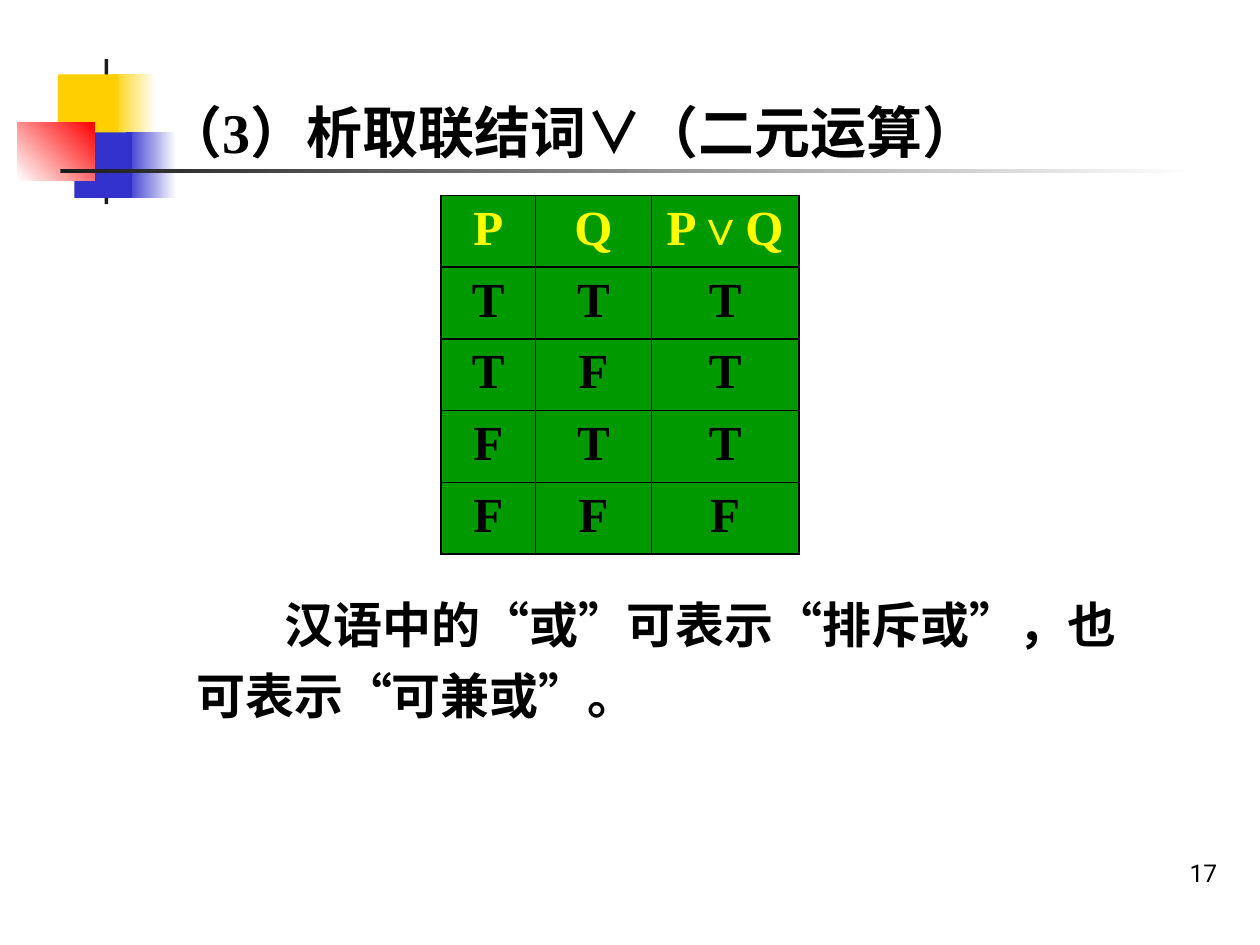
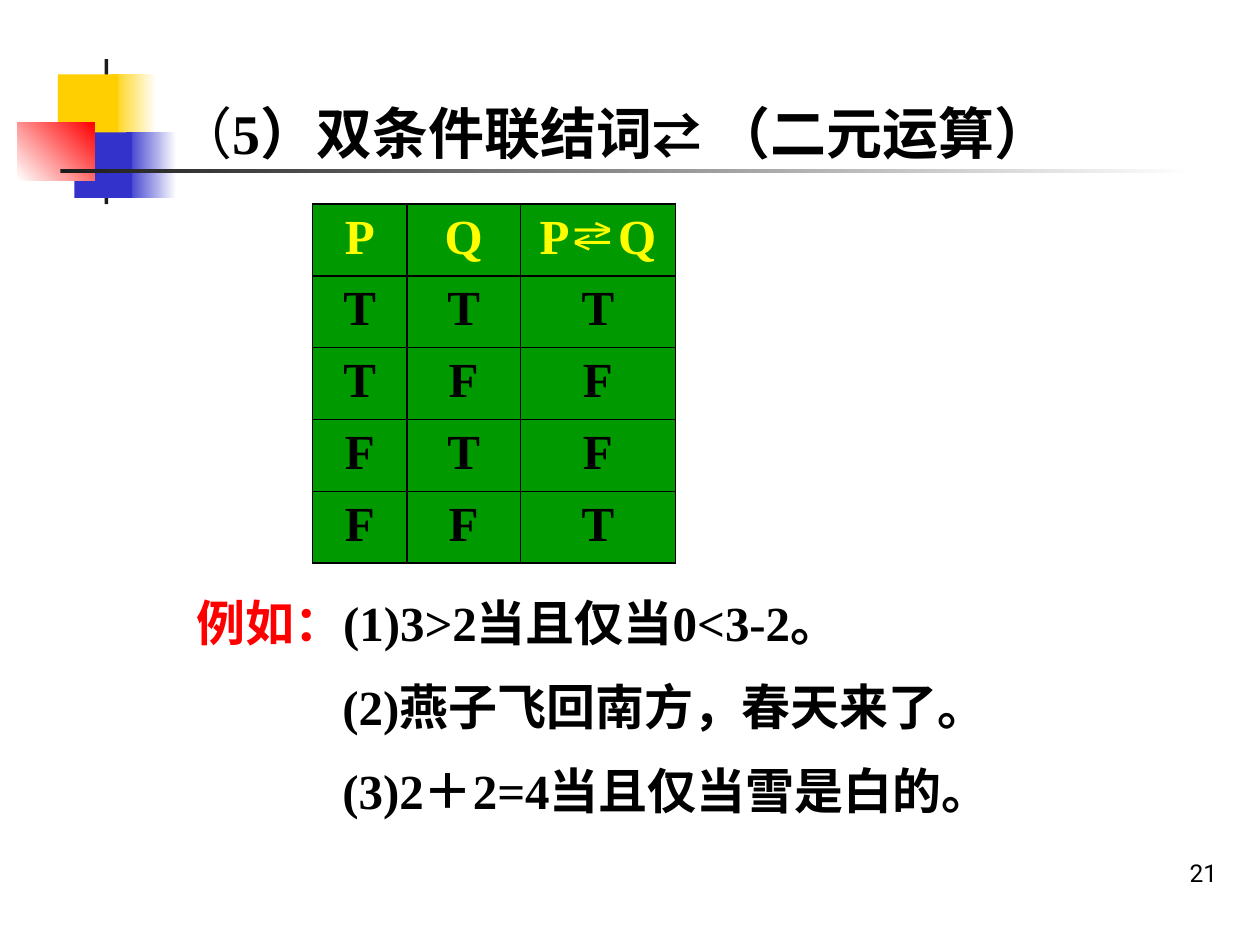
"""Build two slides on logical connectives, each with a truth table."""
from lxml import etree
from pptx import Presentation
from pptx.dml.color import RGBColor
from pptx.enum.shapes import MSO_SHAPE
from pptx.enum.text import MSO_ANCHOR, MSO_AUTO_SIZE, PP_ALIGN
from pptx.oxml.ns import qn
from pptx.util import Inches, Pt

RECTANGLE = MSO_SHAPE.RECTANGLE
TOP, BOTTOM = MSO_ANCHOR.TOP, MSO_ANCHOR.BOTTOM
LEFT, CENTER, RIGHT = PP_ALIGN.LEFT, PP_ALIGN.CENTER, PP_ALIGN.RIGHT
FIXED_SIZE = MSO_AUTO_SIZE.NONE

BLACK = RGBColor(0x00, 0x00, 0x00)
WHITE = RGBColor(0xFF, 0xFF, 0xFF)
INK = RGBColor(0x1C, 0x1C, 0x1C)
GOLD = RGBColor(0xFF, 0xCF, 0x01)
BLUE = RGBColor(0x33, 0x33, 0xCC)
RED = RGBColor(0xFF, 0x00, 0x00)
YELLOW = RGBColor(0xFF, 0xFF, 0x00)
GREEN = RGBColor(0x00, 0x99, 0x00)

SERIF, HAN, MONO = "Times New Roman", "Noto Sans CJK SC", "Noto Sans Mono"
TITLE = {"name": SERIF, "size": Pt(32), "bold": True, "color": BLACK}
BODY = {**TITLE, "size": Pt(28)}
HEADING = {**BODY, "color": YELLOW}
NUMBER = {"name": "Roboto", "size": Pt(14), "bold": False, "color": BLACK}
NUMBER_BOX = (7.68, 6.59, 2.08, 0.5)
ROW_HEIGHT = 0.57

# Each band: left, top, width, height, start colour, end colour, angle
BANDS = [
    (0.88, 0.59, 0.36, 0.52, GOLD, WHITE, 0),
    (1.0, 1.05, 0.4, 0.52, BLUE, WHITE, 0),
    (0.83, 0.47, 0.03, 1.15, INK, None, 0),
    (0.46, 0.59, 0.48, 0.52, GOLD, None, 0),
    (0.59, 1.05, 0.46, 0.52, BLUE, None, 0),
    (0.14, 0.97, 0.61, 0.46, WHITE, RED, 45),
    (0.48, 1.34, 9.0, 0.03, INK, WHITE, 0),
]

SLIDES = [
    {
        "number": "17",
        "title": [("（3）析取联结词∨（二元运算）", TITLE)],
        "title_box": (1.22, 0.73, 7.32, 0.58),
        "title_format": {"line_spacing": Pt(38)},
        "table_at": (3.5, 1.55),
        "columns": (0.75, 0.92, 1.17),
        "rows": [("P", "Q", "P∨Q"), "TTT", "TFT", "FTT", "FFF"],
        "body_box": (1.46, 4.57, 7.8, 1.22),
        "body_format": {"line_spacing": Pt(40.6)},
        "body": [
            (0, 0.7, [("汉语中的“或”可表示“排斥或”，也可表示“可兼或”。",
                       {**BODY, "name": HAN})]),
        ],
    },
    {
        "number": "21",
        "title": [("（", {**TITLE, "bold": False}), ("5）双条件联结词", TITLE),
                  ("⇄", {**BODY, "name": MONO}), (" （二元运算）", TITLE)],
        "title_box": (1.3, 0.68, 7.6, 0.63),
        "title_format": {"line_spacing": Pt(42)},
        "table_at": (2.48, 1.62),
        "columns": (0.75, 0.9, 1.23),
        "rows": [("P", "Q", "P⇄Q"), "TTT", "TFF", "FTF", "FFT"],
        "body_box": (1.46, 4.65, 7.64, 1.97),
        "body_format": {"line_spacing": Pt(34), "space_before": Pt(14)},
        "body": [
            (0, 0, [("例如：", {**BODY, "color": RED}), ("(1)3>2当且仅当0<3-2。", BODY)]),
            (1.16, 0, [("(2)燕子飞回南方，春天来了。", BODY)]),
            (1.16, 0, [("(3)2＋2=4当且仅当雪是白的。", BODY)]),
        ],
    },
]


def inches(values):
    return [Inches(value) for value in values]


def add_spans(para, spans, han_font=True, **para_format):
    for name, value in para_format.items():
        setattr(para, name, value)
    for text, span_format in spans:
        span = para.add_run()
        span.text = text
        for name, value in span_format.items():
            if name == "color":
                span.font.color.rgb = value
            else:
                setattr(span.font, name, value)
        if han_font:
            face = MONO if span_format["name"] == MONO else HAN
            etree.SubElement(span.font._element, qn("a:ea"), typeface=face)


def set_frame(frame, anchor):
    for name, value in {"word_wrap": True, "auto_size": FIXED_SIZE,
                        "vertical_anchor": anchor}.items():
        setattr(frame, name, value)
    return frame


def add_text_box(page, box, anchor=TOP):
    return set_frame(page.shapes.add_textbox(*inches(box)).text_frame, anchor)


def move_bands_to_layout(page, layout):
    for index, (*box, start, end, angle) in enumerate(BANDS):
        band = page.shapes.add_shape(RECTANGLE, *inches(box))
        band.shadow.inherit = False
        band.line.fill.background()
        if end is None:
            band.fill.solid()
            band.fill.fore_color.rgb = start
        else:
            band.fill.gradient()
            band.fill.gradient_angle = angle
            for stop, color, position in zip(band.fill.gradient_stops, (start, end), (0, 1)):
                stop.color.rgb = color
                stop.position = position
        band.element.nvSpPr.cNvPr.set("id", str(20 + index))
        layout.shapes.element.append(band.element)


def add_title(page, content):
    title = page.shapes.title
    title.left, title.top, title.width, title.height = inches(content["title_box"])
    frame = set_frame(title.text_frame, TOP)
    add_spans(frame.paragraphs[0], content["title"], alignment=LEFT,
              **content["title_format"])


def add_borders(cell):
    properties = cell._tc.get_or_add_tcPr()
    for side in ("lnL", "lnR", "lnT", "lnB"):
        line = etree.SubElement(properties, qn(f"a:{side}"), w=str(Pt(1)))
        fill = etree.SubElement(line, qn("a:solidFill"))
        etree.SubElement(fill, qn("a:srgbClr"), val=str(BLACK))


def add_truth_table(page, content):
    rows, columns = content["rows"], content["columns"]
    size = (sum(columns), ROW_HEIGHT * len(rows))
    table = page.shapes.add_table(len(rows), len(columns),
                                  *inches(content["table_at"] + size)).table
    for column, width in zip(table.columns, columns):
        column.width = Inches(width)
    for row_index, values in enumerate(rows):
        table.rows[row_index].height = Inches(ROW_HEIGHT)
        for column_index, value in enumerate(values):
            cell = table.cell(row_index, column_index)
            add_borders(cell)
            cell.fill.solid()
            cell.fill.fore_color.rgb = GREEN
            span_format = BODY if row_index else HEADING
            add_spans(cell.text_frame.paragraphs[0], [(value, span_format)],
                      han_font=False, alignment=CENTER)


def add_body(page, content):
    frame = add_text_box(page, content["body_box"])
    for index, (margin, indent, spans) in enumerate(content["body"]):
        para = frame.add_paragraph() if index else frame.paragraphs[0]
        properties = para._p.get_or_add_pPr()
        properties.set("marL", str(Inches(margin)))
        properties.set("indent", str(Inches(indent)))
        add_spans(para, spans, **content["body_format"])
        if index == 0:
            para.space_before = Pt(0)


def main():
    deck = Presentation()
    deck.slide_width, deck.slide_height = inches((10, 7.5))
    layout = deck.slide_layouts[5]
    for index, content in enumerate(SLIDES):
        page = deck.slides.add_slide(layout)
        if index == 0:
            move_bands_to_layout(page, layout)
        number_frame = add_text_box(page, NUMBER_BOX, BOTTOM)
        add_spans(number_frame.paragraphs[0], [(content["number"], NUMBER)],
                  han_font=False, alignment=RIGHT)
        add_title(page, content)
        add_truth_table(page, content)
        add_body(page, content)
    deck.save("out.pptx")


if __name__ == "__main__":
    main()
